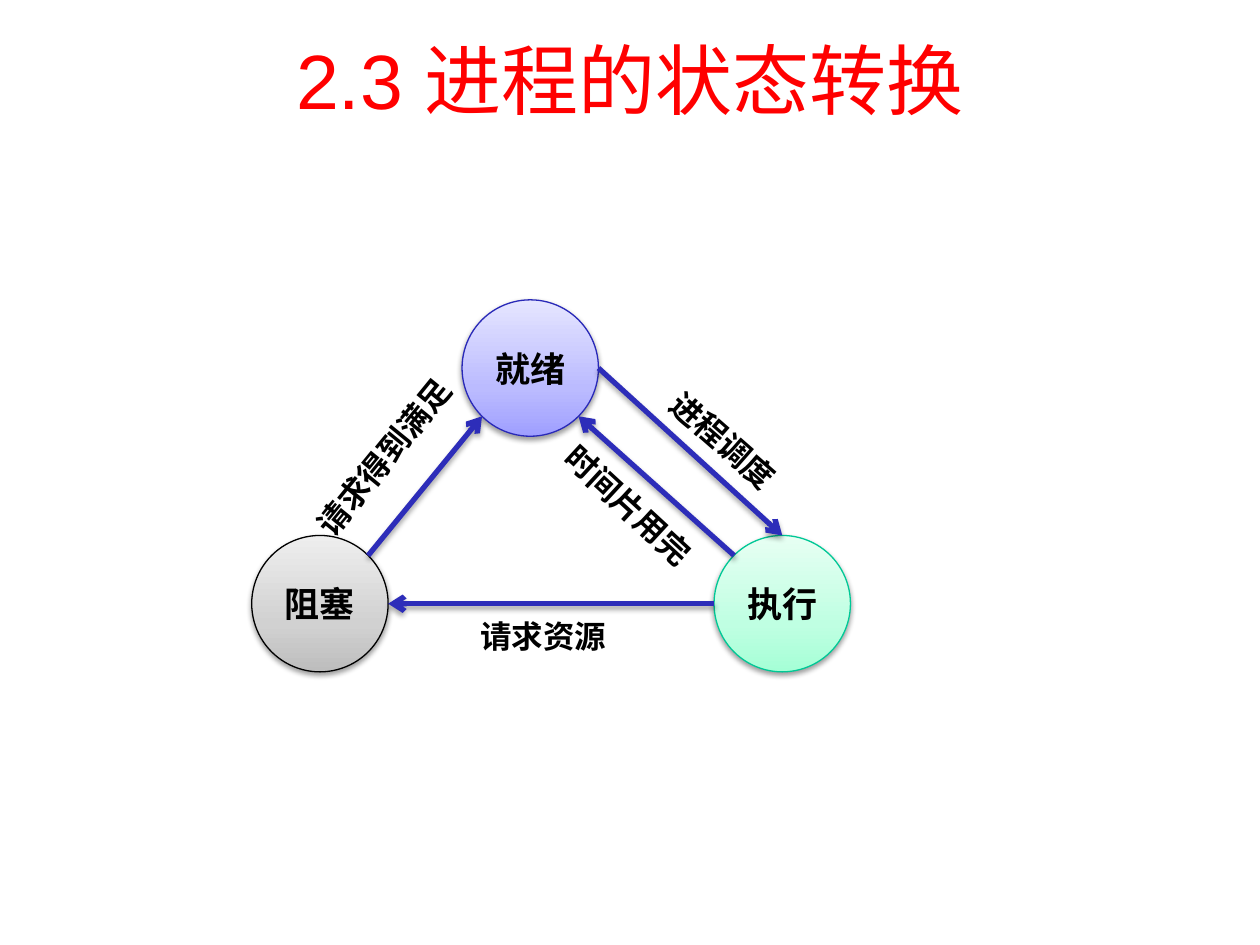
from dataclasses import dataclass
from math import cos, radians, sin

from lxml.etree import SubElement
from pptx import Presentation
from pptx.dml.color import RGBColor
from pptx.enum.shapes import MSO_CONNECTOR, MSO_SHAPE
from pptx.enum.text import MSO_ANCHOR, MSO_AUTO_SIZE, PP_ALIGN
from pptx.oxml.ns import qn
from pptx.util import Cm, Pt


@dataclass(frozen=True)
class Theme:
    font: str = "Arial"
    title_size: int = 44
    state_size: int = 20
    label_size: int = 18
    title: str = "FF0000"
    text: str = "000000"
    arrow: str = "2D2DB9"
    ready: tuple = ("9F9FFF", "BBBBFF", "E5E5FF", "2929B8")
    running: tuple = ("A5FFD6", "BFFFE2", "E7FFF3", "00C896")
    blocked: tuple = ("BDBDBD", "D1D1D1", "EEEEEE", "000000")


THEME = Theme()
DIAMETER = 2.75
LABEL_HEIGHT = 1.02

# State: centre in the diagram (cm), three fill colours and outline
STATES = {
    "就绪": (5.61, 1.37, THEME.ready),
    "执行": (10.69, 6.12, THEME.running),
    "阻塞": (1.37, 6.12, THEME.blocked),
}
# Start state and angle, end state and angle (clockwise from the right),
# then label, label centre (cm) and rotation
TRANSITIONS = [
    ("执行", 180, "阻塞", 0, "请求资源", 5.89, 6.78, 0),
    ("阻塞", 315, "就绪", 135, "请求得到满足", 2.67, 3.15, 309.2),
    ("就绪", 0, "执行", 270, "进程调度", 9.51, 2.84, 41.3),
    ("执行", 225, "就绪", 45, "时间片用完", 7.6, 4.14, 42.7),
]


def style_text(paragraph, size, color, bold=False):
    for run in paragraph.runs:
        run.font.name = THEME.font
        run.font.size = Pt(size)
        run.font.bold = bold
        run.font.color.rgb = RGBColor.from_string(color)


def add_shadow(shape, distance, opacity):
    properties = shape._element.spPr
    effects = SubElement(properties, qn("a:effectLst"))
    shadow = SubElement(effects, qn("a:outerShdw"), blurRad=str(Pt(3.1)),
                        dist=str(Pt(distance)), dir="5400000", rotWithShape="0")
    color = SubElement(shadow, qn("a:srgbClr"), val="000000")
    SubElement(color, qn("a:alpha"), val=str(opacity * 1000))


def fill_gradient(shape, colors):
    shape.fill.gradient()
    shape.fill.gradient_angle = 90
    stops = shape._element.spPr.find(".//" + qn("a:gsLst"))
    stops.clear()
    for position, color in zip((0, 35, 100), colors):
        stop = SubElement(stops, qn("a:gs"), pos=str(position * 1000))
        SubElement(stop, qn("a:srgbClr"), val=color)


def add_title(slide, left, top, width, height):
    title = slide.shapes.title
    title.left, title.top = Cm(left), Cm(top)
    title.width, title.height = Cm(width), Cm(height)
    frame = title.text_frame
    frame.text = "2.3 进程的状态转换"
    frame.vertical_anchor = MSO_ANCHOR.MIDDLE
    frame.paragraphs[0].alignment = PP_ALIGN.CENTER
    style_text(frame.paragraphs[0], THEME.title_size, THEME.title)


def add_state(slide, name, x, y, colors):
    state = slide.shapes.add_shape(
        MSO_SHAPE.OVAL, Cm(x - DIAMETER / 2), Cm(y - DIAMETER / 2),
        Cm(DIAMETER), Cm(DIAMETER))
    *gradient, outline = colors
    fill_gradient(state, gradient)
    state.line.color.rgb = RGBColor.from_string(outline)
    state.line.width = Pt(0.75)
    add_shadow(state, 1.6, 38)
    frame = state.text_frame
    frame.text = name
    frame.vertical_anchor = MSO_ANCHOR.MIDDLE
    frame.paragraphs[0].alignment = PP_ALIGN.CENTER
    style_text(frame.paragraphs[0], THEME.state_size, THEME.text, bold=True)


def rim_point(left, top, state, angle):
    x, y, _ = STATES[state]
    return (Cm(left + x + DIAMETER / 2 * cos(radians(angle))),
            Cm(top + y + DIAMETER / 2 * sin(radians(angle))))


def add_arrow(slide, start, end):
    arrow = slide.shapes.add_connector(MSO_CONNECTOR.STRAIGHT, *start, *end)
    arrow.line.color.rgb = RGBColor.from_string(THEME.arrow)
    arrow.line.width = Pt(3)
    SubElement(arrow.line._get_or_add_ln(), qn("a:tailEnd"), type="arrow")
    add_shadow(arrow, 1.8, 35)


def add_label(slide, text, x, y, rotation):
    width = len(text) * Pt(THEME.label_size).cm + 0.53
    label = slide.shapes.add_textbox(Cm(x - width / 2), Cm(y - LABEL_HEIGHT / 2),
                                     Cm(width), Cm(LABEL_HEIGHT))
    label.rotation = rotation
    frame = label.text_frame
    frame.text = text
    frame.word_wrap = False
    frame.auto_size = MSO_AUTO_SIZE.SHAPE_TO_FIT_TEXT
    style_text(frame.paragraphs[0], THEME.label_size, THEME.text, bold=True)


def add_state_diagram(slide, left, top):
    for name, (x, y, colors) in STATES.items():
        add_state(slide, name, left + x, top + y, colors)
    for source, exit_angle, target, entry_angle, *_ in TRANSITIONS:
        add_arrow(slide, rim_point(left, top, source, exit_angle),
                  rim_point(left, top, target, entry_angle))
    for *_, text, x, y, rotation in TRANSITIONS:
        add_label(slide, text, left + x, top + y, rotation)


def main():
    presentation = Presentation()
    presentation.slide_width, presentation.slide_height = Cm(25.4), Cm(19.05)
    slide = presentation.slides.add_slide(presentation.slide_layouts[5])
    add_title(slide, 0, 0, 25.4, 3.18)
    add_state_diagram(slide, 5.08, 6.05)
    presentation.save("out.pptx")


if __name__ == "__main__":
    main()
